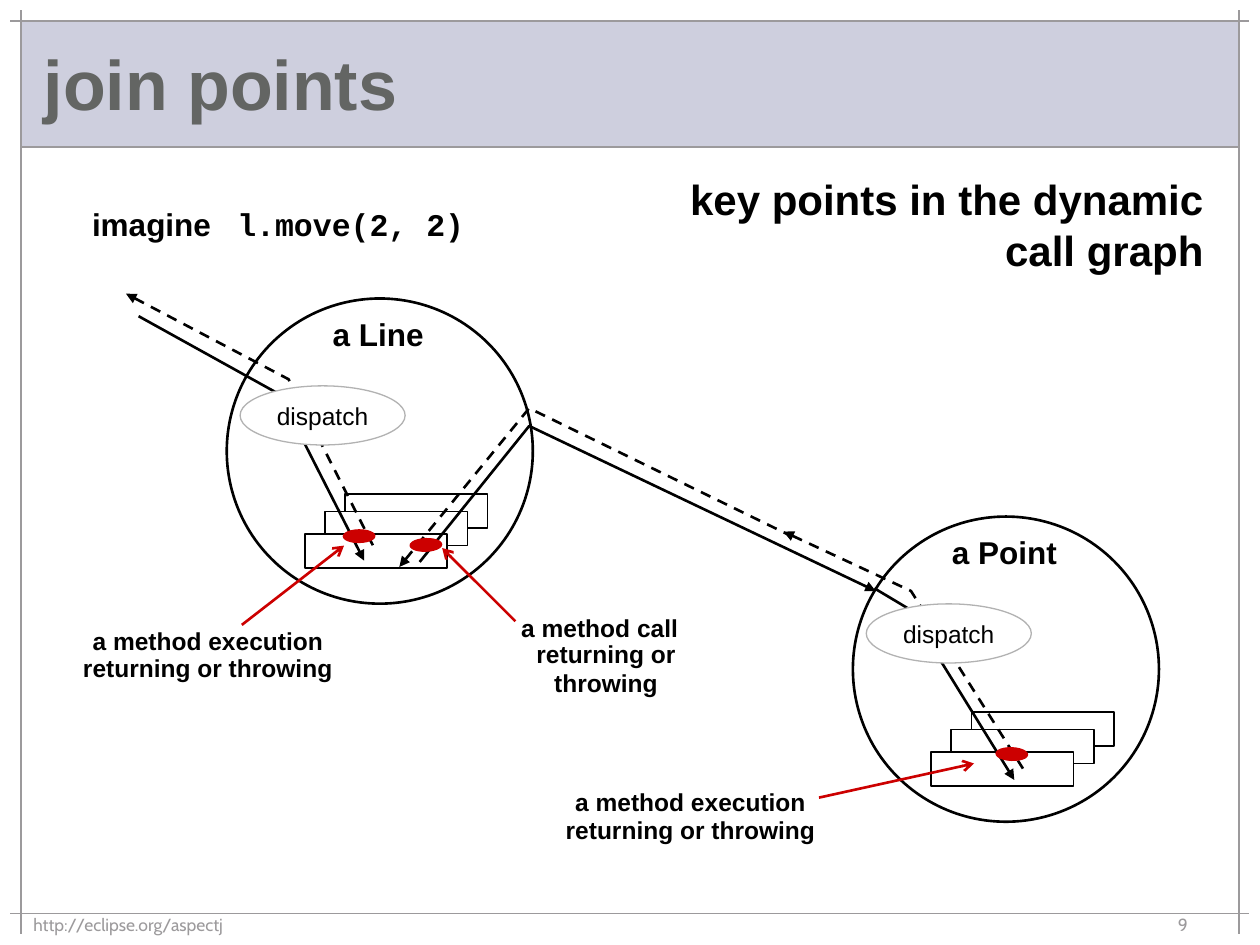
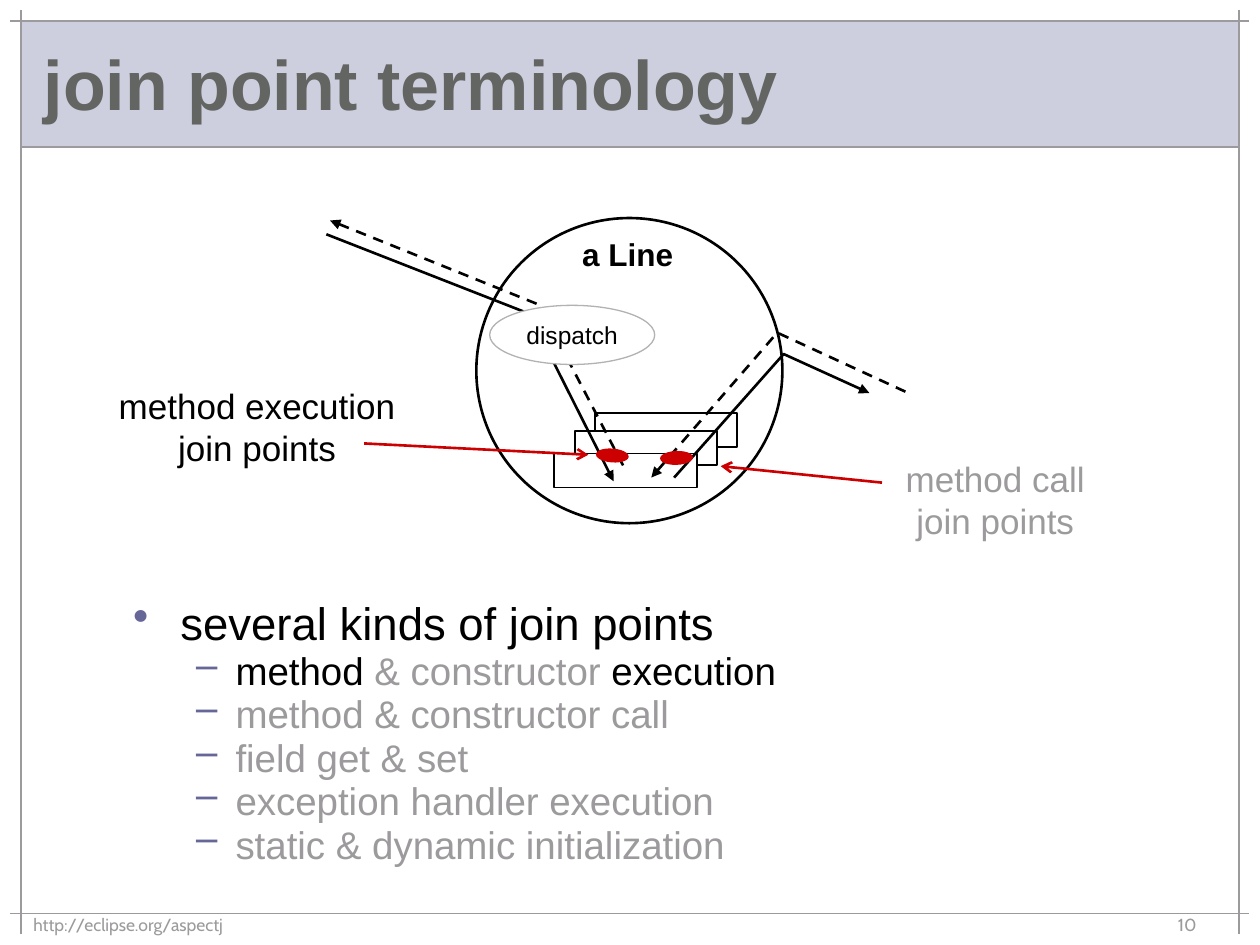
import pptx
import pptx.dml.color
import pptx.enum.dml
import pptx.enum.shapes
import pptx.enum.text
import pptx.oxml.ns
import pptx.util
from lxml import etree

Pt = pptx.util.Pt
RGBColor = pptx.dml.color.RGBColor
SHAPE = pptx.enum.shapes.MSO_SHAPE
ALIGN = pptx.enum.text.PP_ALIGN
ANCHOR = pptx.enum.text.MSO_ANCHOR
qn = pptx.oxml.ns.qn

BLACK = RGBColor(0x00, 0x00, 0x00)
WHITE = RGBColor(0xFF, 0xFF, 0xFF)
GRAY = RGBColor(0x9C, 0x9A, 0x9C)
OVAL_GRAY = RGBColor(0xB2, 0xB2, 0xB2)
BAND = RGBColor(0xCE, 0xCF, 0xDE)
TITLE = RGBColor(0x63, 0x65, 0x63)
RED = RGBColor(0xCC, 0x00, 0x00)
BULLET = RGBColor(0x66, 0x66, 0x99)

FOOTER = "http://eclipse.org/aspectj"
FRAME_LINES = [
    (12, 6, 12, 534), (708, 6, 708, 534),
    (6, 12, 714, 12), (12, 84, 708, 84), (6, 522, 714, 522),
]
CARDS = [(67.7, 111.6), (56.2, 121.7), (44.6, 134.6)]
EXECUTION = "a method execution"
RETURNING = "returning or throwing"

SLIDES = [
    {
        "number": "9",
        "title": "join points",
        "objects": [("a Line", 129.6, 170.6), ("a Point", 487.4, 295.2)],
        "calls": [
            [(239.8, 321.1), (302.4, 243.4), (500.4, 337.7)],
            [(79.2, 180.7), (159.8, 225.4), (208.1, 320.4)],
            [(499.7, 336.2), (519.1, 347.8), (579.6, 445.7)],
        ],
        "returns": [
            [(228.2, 324), (302.4, 233.3), (452.9, 306.7)],
            [(72, 167.8), (164.9, 216.7), (214.6, 314.6)],
            [(447.8, 303.8), (520.6, 337.7), (584.6, 439.2)],
        ],
        "join_points": [(243.4, 311.4, -2.2), (205.2, 306.4, -0.7), (578.2, 430.9, 2.3)],
        "pointers": [
            (294.5, 355, 252.7, 313.2),
            (138.2, 357.1, 196.6, 311.8),
            (468, 455.8, 556.6, 436.3),
        ],
        "labels": [
            ("a method call", 273.6, 347, 138.2, 24.5, 14, True, BLACK, ALIGN.CENTER),
            (RETURNING, 274.3, 361.4, 144, 41, 14, True, BLACK, ALIGN.CENTER),
            (EXECUTION, 43.9, 354.2, 149.8, 24.5, 14, True, BLACK, ALIGN.CENTER),
            (RETURNING, 36, 369.4, 165.6, 24.5, 14, True, BLACK, ALIGN.CENTER),
            (EXECUTION, 319.7, 446.4, 149.8, 24.5, 14, True, BLACK, ALIGN.CENTER),
            (RETURNING, 311.8, 462.2, 165.6, 24.5, 14, True, BLACK, ALIGN.CENTER),
            ("key points in the dynamic\ncall graph", 228.2, 95.8, 466.6, 64.8, 24, True, BLACK, ALIGN.RIGHT),
        ],
        "example": ("imagine", "l.move(2, 2)"),
        "bullets": [],
    },
    {
        "number": "10",
        "title": "join point terminology",
        "objects": [("a Line", 272.2, 124.6)],
        "calls": [
            [(186.5, 133.9), (302.4, 179.3), (350.6, 275)],
            [(385.2, 272.9), (447.8, 202.3), (496.8, 224.6)],
        ],
        "returns": [
            [(188.6, 126), (308.2, 174.2), (357.8, 269.3)],
            [(372.2, 272.9), (444.2, 190.1), (519.1, 224.6)],
        ],
        "join_points": [(349.9, 260.3, 4.6), (386.6, 261.7, -2.2)],
        "pointers": [(208.1, 253.4, 336.2, 259.9), (504, 275.8, 411.8, 266.4)],
        "labels": [
            ("method execution join points", 59.8, 216, 174.2, 55.4, 20, False, BLACK, ALIGN.CENTER),
            ("method call join points", 498.2, 257.8, 141.1, 55.4, 20, False, GRAY, ALIGN.CENTER),
        ],
        "example": None,
        "bullets": [
            (0, [("several kinds of join points", BLACK)]),
            (1, [("method ", BLACK), ("& constructor", GRAY), (" execution", BLACK)]),
            (1, [("method & constructor call", GRAY)]),
            (1, [("field get & set", GRAY)]),
            (1, [("exception handler execution", GRAY)]),
            (1, [("static & dynamic initialization", GRAY)]),
        ],
    },
]
BULLET_LEVELS = [("•", 27, 27, 26, 0), ("–", 58.5, 22.5, 22, 5)]


def add_span(para, text, size, color=BLACK, bold=False, font="Arial"):
    span = para.add_run()
    span.text = text
    span.font.size = Pt(size)
    span.font.name = font
    span.font.bold = bold
    span.font.color.rgb = color


def add_box(page, left, top, width, height):
    box = page.shapes.add_textbox(Pt(left), Pt(top), Pt(width), Pt(height))
    box.text_frame.word_wrap = True
    return box.text_frame


def add_label(page, text, left, top, width, height, size, bold=False, color=BLACK,
              align=ALIGN.LEFT, font="Arial"):
    frame = add_box(page, left, top, width, height)
    para = frame.paragraphs[0]
    para.alignment = align
    for index, line in enumerate(text.split("\n")):
        if index:
            para.add_line_break()
        add_span(para, line, size, color, bold, font)
    return frame


def add_plain(page, kind, left, top, width, height, fill=None, line=None, weight=1):
    shape = page.shapes.add_shape(kind, Pt(left), Pt(top), Pt(width), Pt(height))
    shape.shadow.inherit = False
    if fill is None:
        shape.fill.background()
    else:
        shape.fill.solid()
        shape.fill.fore_color.rgb = fill
    if line is None:
        shape.line.fill.background()
    else:
        shape.line.color.rgb = line
        shape.line.width = Pt(weight)
    return shape


def add_arrowhead(shape, end, kind):
    etree.SubElement(shape.line._get_or_add_ln(), qn("a:" + end), type=kind)


def add_line(page, x1, y1, x2, y2, color, weight):
    line = page.shapes.add_connector(
        pptx.enum.shapes.MSO_CONNECTOR.STRAIGHT, Pt(x1), Pt(y1), Pt(x2), Pt(y2))
    line.line.color.rgb = color
    line.line.width = Pt(weight)
    etree.SubElement(line._element.spPr, qn("a:effectLst"))
    return line


def add_route(page, points, returning):
    start, *rest = [(Pt(x), Pt(y)) for x, y in points]
    builder = page.shapes.build_freeform(*start)
    builder.add_line_segments(rest, close=False)
    route = builder.convert_to_shape()
    route.shadow.inherit = False
    route.fill.background()
    route.line.color.rgb = BLACK
    route.line.width = Pt(1.5)
    if returning:
        route.line.dash_style = pptx.enum.dml.MSO_LINE.DASH
    add_arrowhead(route, "headEnd" if returning else "tailEnd", "triangle")


def add_frame(page, title, number):
    add_plain(page, SHAPE.RECTANGLE, 12, 12, 696, 72, BAND)
    for ends in FRAME_LINES:
        add_line(page, *ends, GRAY, 1)
    heading = add_label(page, title, 18, 18, 684, 66, 40, True, TITLE)
    heading.vertical_anchor = ANCHOR.MIDDLE
    heading.paragraphs[0].line_spacing = 0.85
    add_label(page, FOOTER, 12, 519, 426, 18, 10, color=GRAY, font="Cabin")
    add_label(page, number, 666, 519, 48, 18, 10, color=GRAY, font="Cabin")


def add_object(page, name, left, top):
    for dx, dy in CARDS:
        add_plain(page, SHAPE.RECTANGLE, left + dx, top + dy, 81.4, 19.4, WHITE, BLACK)
    add_plain(page, SHAPE.OVAL, left, top, 174.9, 174.4, None, BLACK, 1.5)
    add_label(page, name, left + 38.5, top + 5.9, 96, 29, 18, True, align=ALIGN.CENTER)


def add_dispatch(page, left, top):
    oval = add_plain(page, SHAPE.OVAL, left + 7.6, top + 49.9, 94.3, 33.8, WHITE, OVAL_GRAY, 0.75)
    frame = oval.text_frame
    frame.word_wrap = False
    frame.vertical_anchor = ANCHOR.MIDDLE
    frame.paragraphs[0].alignment = ALIGN.CENTER
    add_span(frame.paragraphs[0], "dispatch", 14)


def add_example(page, word, code):
    para = add_box(page, 45.5, 113.8, 240, 29).paragraphs[0]
    tabs = etree.SubElement(para._p.get_or_add_pPr(), qn("a:tabLst"))
    etree.SubElement(tabs, qn("a:tab"), pos=str(Pt(83)), algn="l")
    add_span(para, word + "\t", 18, bold=True)
    add_span(para, code, 18, bold=True, font="Courier New")


def add_bullets(page, bullets):
    frame = add_box(page, 69, 344, 633, 162)
    for index, (level, spans) in enumerate(bullets):
        mark, margin, hanging, size, before = BULLET_LEVELS[level]
        para = frame.add_paragraph() if index else frame.paragraphs[0]
        properties = para._p.get_or_add_pPr()
        properties.set("marL", str(Pt(margin)))
        properties.set("indent", str(-Pt(hanging)))
        color = etree.SubElement(properties, qn("a:buClr"))
        etree.SubElement(color, qn("a:srgbClr"), val=str(BULLET))
        etree.SubElement(properties, qn("a:buChar"), char=mark)
        para.level = level
        para.line_spacing = 0.75
        para.space_before = Pt(before)
        for text, shade in spans:
            add_span(para, text, size, shade)


def build_page(deck, content):
    page = deck.slides.add_slide(deck.slide_layouts[6])
    add_frame(page, content["title"], content["number"])
    for item in content["objects"]:
        add_object(page, *item)
    for kind in ("calls", "returns"):
        for points in content[kind]:
            add_route(page, points, kind == "returns")
    for name, left, top in content["objects"]:
        add_dispatch(page, left, top)
    for x, y, angle in content["join_points"]:
        dot = add_plain(page, SHAPE.OVAL, x - 9, y - 3.6, 18, 7.2, RED, RED, 0.75)
        dot.rotation = angle
    for ends in content["pointers"]:
        add_arrowhead(add_line(page, *ends, RED, 1.5), "tailEnd", "arrow")
    for label in content["labels"]:
        add_label(page, *label)
    if content["example"]:
        add_example(page, *content["example"])
    if content["bullets"]:
        add_bullets(page, content["bullets"])


def main():
    deck = pptx.Presentation()
    deck.slide_width, deck.slide_height = Pt(720), Pt(540)
    for content in SLIDES:
        build_page(deck, content)
    deck.save("out.pptx")


if __name__ == "__main__":
    main()
